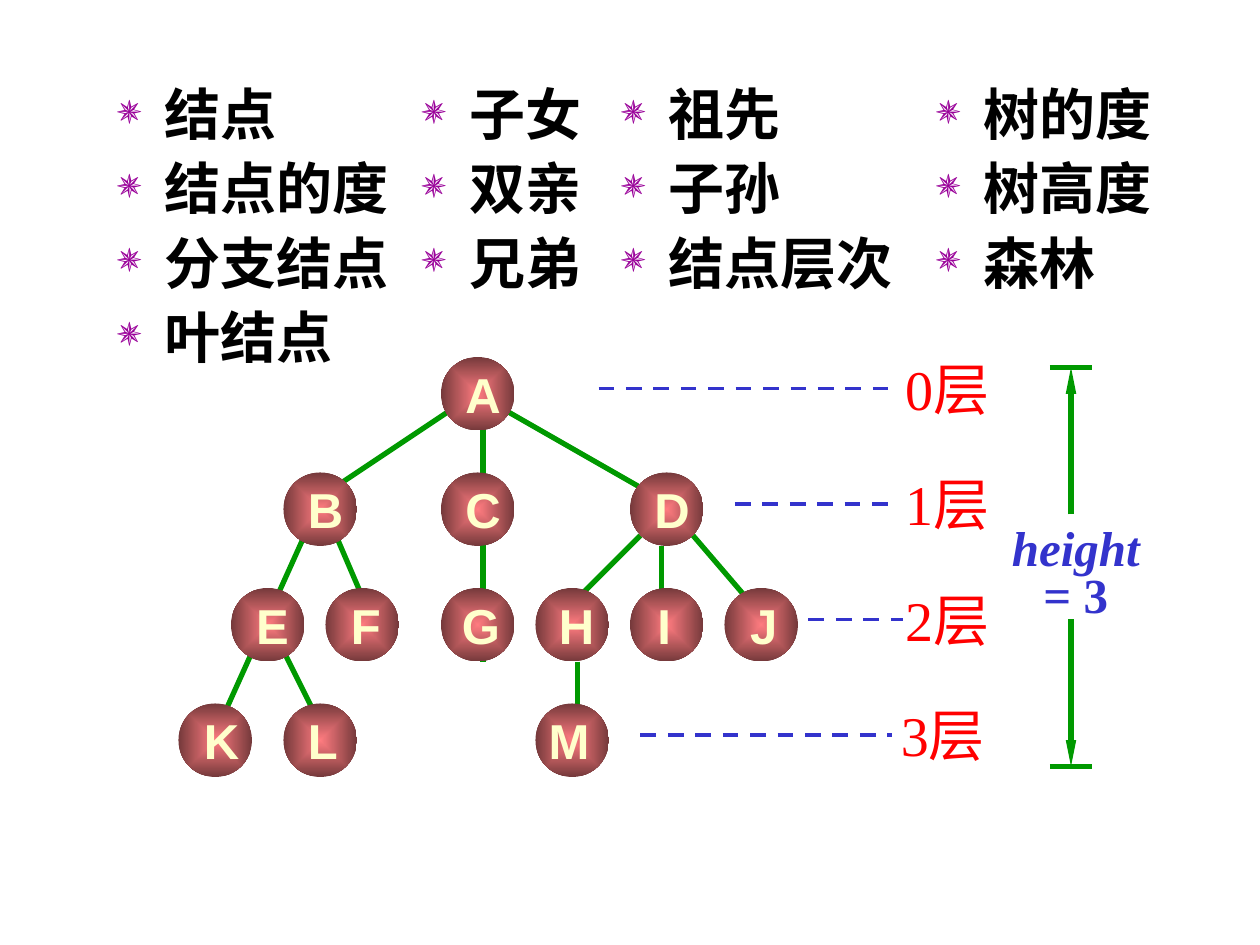
"""Build a slide of tree terminology above a labelled four-level tree."""
from lxml.etree import SubElement
from pptx import Presentation
from pptx.dml.color import RGBColor
from pptx.enum.dml import MSO_LINE_DASH_STYLE as Dash
from pptx.enum.lang import MSO_LANGUAGE_ID as Language
from pptx.enum.shapes import MSO_CONNECTOR as Connector, MSO_SHAPE as Shape
from pptx.enum.text import MSO_ANCHOR as Anchor, PP_ALIGN as Align
from pptx.oxml.ns import qn
from pptx.util import Cm, Pt

SERIF, SANS, CHINESE = "Times New Roman", "Arial", "Noto Sans CJK SC"
GREEN, BLUE, RED, PURPLE = "009900", "3333CC", "FF0000", "990099"
BLACK, CREAM, PINK, MAROON = "000000", "FFFFCC", "FF7C80", "75393B"

TERM_TOP = 7
TERMS = [
    (10, 30, 30, [[("结点", SERIF)], [("结点的度", SERIF)], [("分支结点", SERIF)], [("叶结点", SERIF)]]),
    (39, 30, 22, [[("子女", SERIF)], [("双亲", SERIF)], [("兄弟", SERIF)]]),
    (58, 39, 30, [[("祖先", SERIF)], [("子孙", SERIF)], [("结点层次", SERIF)]]),
    (88, 24, 23, [[("树的度", SERIF)], [("树", CHINESE), ("高度", SERIF)], [("森林", CHINESE)]]),
]

NODE_SIZE, TREE_TOP, LEVEL_STEP = 7, 34, 11
NODES = [
    [("A", 42, 1.1, 5.8)],
    [("B", 27, 1.1, 5.8), ("C", 42, 1.1, 5.8), ("D", 60, 1.1, 5.8)],
    [("E", 22, 1.2, 5.5), ("F", 31, 1.2, 5.3), ("G", 42, 0.8, 6), ("H", 51, 1, 5.8),
     ("I", 60, 1.4, 3.7), ("J", 69, 1.3, 4.9)],
    [("K", 17, 1.2, 5.8), ("L", 27, 1.1, 5.3), ("M", 51, 0.1, 6.2)],
]
EDGES = [
    (66, 51, 72, 58), (61, 51, 55, 57), (63, 52, 63, 57), (55, 63, 55, 69), (48, 39, 62, 47),
    (43, 39, 31, 47), (46, 40, 46, 63), (32, 51, 35, 58), (27, 62, 30, 68), (29, 51, 20, 71),
]
LEVELS = [("0层", 57, 85, 84.4), ("1层", 70, 85, 84.4), ("2层", 77, 86, 84.4), ("3层", 61, 85, 84)]
HEIGHT_LINES = [("height", True), ("= 3", False)]
HEIGHT_ENDS = [(35, 49), (73, 59)]


def grid(count):
    return Cm(count * 2.54 / 12)


def color(value):
    return RGBColor.from_string(value)


def add_line(slide, ends, shade, width, dash=None, arrow=False):
    line = slide.shapes.add_connector(Connector.STRAIGHT, *map(grid, ends))
    line.line.color.rgb = color(shade)
    line.line.width = Pt(width)
    if dash:
        line.line.dash_style = dash
    if arrow:
        SubElement(line.line._get_or_add_ln(), qn("a:tailEnd"), type="triangle", w="sm", len="lg")
    SubElement(line._element.spPr, qn("a:effectLst"))


def add_node(slide, left, top):
    node = slide.shapes.add_shape(Shape.OVAL, *map(grid, (left, top, NODE_SIZE, NODE_SIZE)))
    node.shadow.inherit = False
    node.line.fill.background()
    node.fill.gradient()
    for stop, shade in zip(node.fill.gradient_stops, (PINK, MAROON)):
        stop.color.rgb = color(shade)
    gradient = node._element.spPr.find(qn("a:gradFill"))
    gradient.remove(gradient.find(qn("a:lin")))
    focus = SubElement(gradient, qn("a:path"), path="rect")
    SubElement(focus, qn("a:fillToRect"), l="50000", t="50000", r="50000", b="50000")


def add_run(paragraph, text, font_name, size, shade, bold=False, italic=False):
    run = paragraph.add_run()
    run.text = text
    font = run.font
    font.name, font.size, font.bold, font.italic = font_name, Pt(size), bold, italic
    font.color.rgb = color(shade)
    font.language_id = Language.SIMPLIFIED_CHINESE
    run._r.rPr.find(qn("a:latin")).addnext(
        run._r.rPr.makeelement(qn("a:ea"), {"typeface": CHINESE}))


def add_label(slide, box, lines, font_name, size, shade, bold=False, spacing=None):
    frame = slide.shapes.add_textbox(*map(grid, box)).text_frame
    frame.word_wrap = False
    frame.margin_left = frame.margin_right = 0
    frame.vertical_anchor = Anchor.MIDDLE
    for index, (text, italic) in enumerate(lines):
        paragraph = frame.add_paragraph() if index else frame.paragraphs[0]
        paragraph.alignment = Align.CENTER
        paragraph.line_spacing = spacing
        add_run(paragraph, text, font_name, size, shade, bold, italic)


def add_bullet(paragraph):
    properties = paragraph._p.get_or_add_pPr()
    properties.set("marL", str(grid(4.5)))
    properties.set("indent", str(-grid(4.5)))
    SubElement(SubElement(properties, qn("a:buClr")), qn("a:srgbClr"), val=PURPLE)
    SubElement(properties, qn("a:buSzPct"), val="75000")
    SubElement(properties, qn("a:buChar"), char="✵")


def add_terms(slide, left, width, height, terms):
    frame = slide.shapes.add_textbox(*map(grid, (left, TERM_TOP, width, height))).text_frame
    frame.word_wrap = True
    for index, runs in enumerate(terms):
        paragraph = frame.add_paragraph() if index else frame.paragraphs[0]
        add_bullet(paragraph)
        if index:
            paragraph.space_before = Pt(4)
        for text, font_name in runs:
            add_run(paragraph, text, font_name, 32, BLACK, bold=True)


def main():
    presentation = Presentation()
    presentation.slide_width, presentation.slide_height = Cm(25.4), Cm(19.05)
    slide = presentation.slides.add_slide(presentation.slide_layouts[6])

    for ends in EDGES:
        add_line(slide, ends, GREEN, 3)
    for level, nodes in enumerate(NODES):
        top = TREE_TOP + level * LEVEL_STEP
        for name, left, shift, width in nodes:
            add_node(slide, left, top)
            add_label(slide, (left + shift, top + 0.1, width, 6.8), [(name, False)],
                      SANS, 28, CREAM, bold=True)

    for level, (name, start, end, left) in enumerate(LEVELS):
        top = TREE_TOP + level * LEVEL_STEP
        add_line(slide, (start, top + 3, end, top + 3), BLUE, 2.25, dash=Dash.DASH)
        add_label(slide, (left, top - 0.9, 11.6, 7.7), [(name, False)], SERIF, 32, RED)

    add_label(slide, (95.2, 49.7, 14.5, 10.2), HEIGHT_LINES, SERIF, 28, BLUE, bold=True, spacing=0.8)
    for outer, inner in HEIGHT_ENDS:
        add_line(slide, (100, outer, 104, outer), GREEN, 3)
        add_line(slide, (102, inner, 102, outer), GREEN, 3, arrow=True)

    for column in TERMS:
        add_terms(slide, *column)
    presentation.save("out.pptx")


if __name__ == "__main__":
    main()
